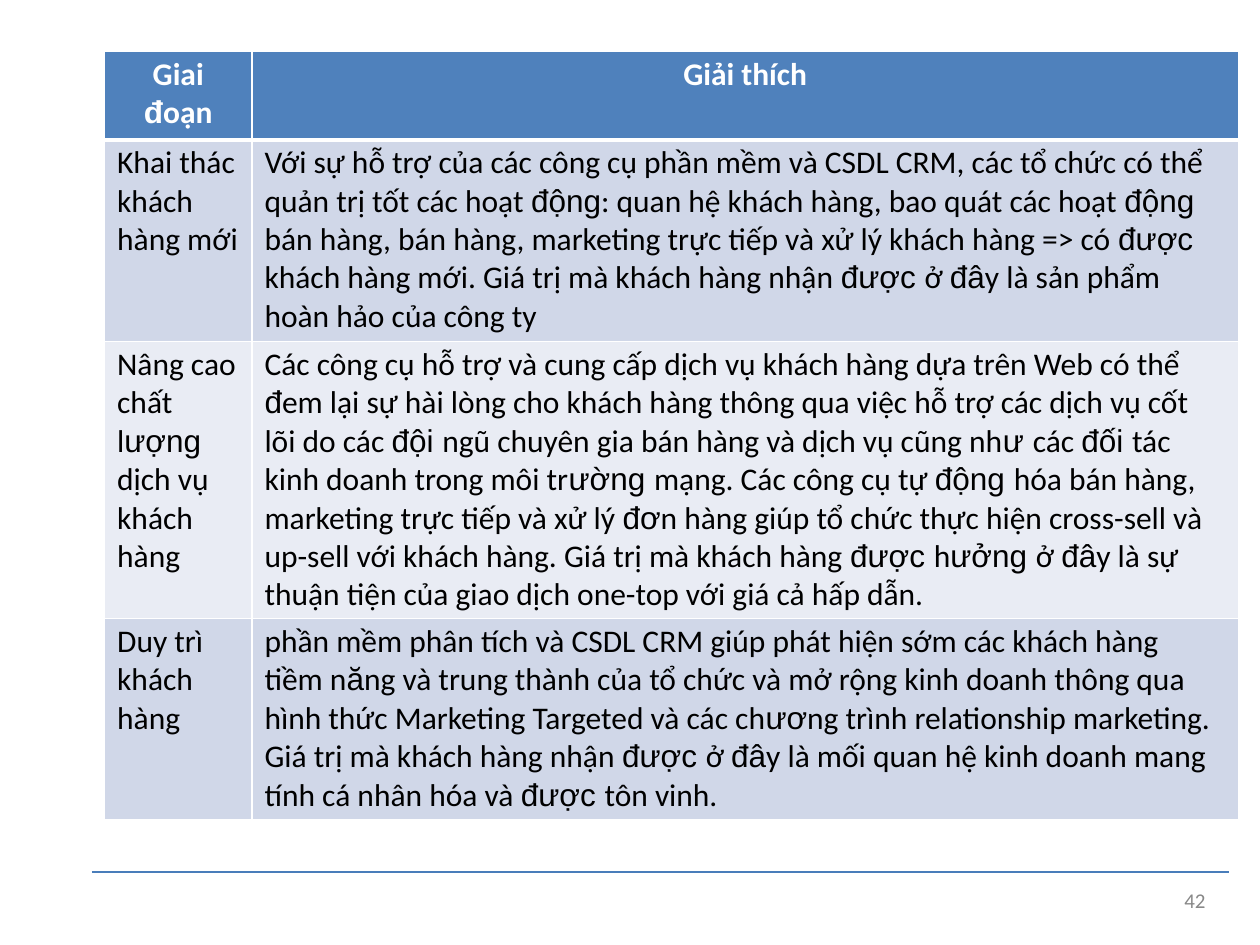
from lxml import etree
from pptx import Presentation
from pptx.dml.color import RGBColor
from pptx.enum.shapes import MSO_CONNECTOR
from pptx.enum.text import PP_ALIGN
from pptx.oxml.ns import qn
from pptx.util import Inches, Pt

STRAIGHT = MSO_CONNECTOR.STRAIGHT
LEFT, CENTER = PP_ALIGN.LEFT, PP_ALIGN.CENTER
WHITE = RGBColor(0xFF, 0xFF, 0xFF)
BLACK = RGBColor(0, 0, 0)
GRAY = RGBColor(0x88, 0x88, 0x88)
HEADER_BLUE = RGBColor(0x4F, 0x81, 0xBC)
RULE_BLUE = RGBColor(0x49, 0x7D, 0xBA)
BANDS = [RGBColor(0xD0, 0xD7, 0xE8), RGBColor(0xE9, 0xEC, 0xF4)]
FONTS = ["Calibri", "Arial"]
FONT_SWITCH = "|"

COLUMN_WIDTHS = [1.17, 7.83]
RIGHT_MARGINS = [0.05, 0.2]
ROW_HEIGHTS = [0.7, 1.6, 2.2, 1.6]
STAGES = [
    [["Giai", "|đ|oạn"], ["Giải thích"]],
    [
        ["Khai thác khách hàng mới"],
        ["Với sự hỗ trợ của các công cụ phần mềm và CSDL CRM, các tổ chức có thể "
         "quản trị tốt các hoạt |động|: quan hệ khách hàng, bao quát các hoạt |động |"
         "bán hàng, bán hàng, marketing trực tiếp và xử lý khách hàng => có |được |"
         "khách hàng mới. Giá trị mà khách hàng nhận |được |ở |đâ|y là sản phẩm "
         "hoàn hảo của công ty"],
    ],
    [
        ["Nâng cao chất l|ượng |dịch vụ khách hàng"],
        ["Các công cụ hỗ trợ và cung cấp dịch vụ khách hàng dựa trên Web có thể "
         "|đ|em lại sự hài lòng cho khách hàng thông qua việc hỗ trợ các dịch vụ cốt "
         "lõi do các |đội |ngũ chuyên gia bán hàng và dịch vụ cũng nh|ư |các |đối |tác "
         "kinh doanh trong môi tr|ường |mạng. Các công cụ tự |động |hóa bán hàng, "
         "marketing trực tiếp và xử lý |đơ|n hàng giúp tổ chức thực hiện cross-sell và "
         "up-sell với khách hàng. Giá trị mà khách hàng |được |h|ưởng |ở |đâ|y là sự",
         "thuận tiện của giao dịch one-top với giá cả hấp dẫn."],
    ],
    [
        ["Duy trì khách hàng"],
        ["phần mềm phân tích và CSDL CRM giúp phát hiện sớm các khách hàng",
         "tiềm n|ă|ng và trung thành của tổ chức và mở rộng kinh doanh thông qua "
         "hình thức Marketing Targeted và các ch|ươ|ng trình relationship marketing. "
         "Giá trị mà khách hàng nhận |được |ở |đâ|y là mối quan hệ kinh doanh mang "
         "tính cá nhân hóa và |được |tôn vinh."],
    ],
]


def write_text(frame, lines, size=18, color=BLACK, bold=False, align=LEFT, before=0):
    frame.word_wrap = True
    for number, line in enumerate(lines):
        para = frame.add_paragraph() if number else frame.paragraphs[0]
        para.alignment = align
        para.space_before = Pt(0 if number else before)
        for index, piece in enumerate(line.split(FONT_SWITCH)):
            if piece:
                span = para.add_run()
                span.text = piece
                span.font.name = FONTS[index % 2]
                span.font.size = Pt(size)
                span.font.bold = bold
                span.font.color.rgb = color


class StageSlide:
    def __init__(self, deck):
        self.page = deck.slides.add_slide(deck.slide_layouts[6])

    def rule(self, left, top, width):
        line = self.page.shapes.add_connector(
            STRAIGHT, Inches(left), Inches(top), Inches(left + width), Inches(top))
        line.line.color.rgb = RULE_BLUE
        line.line.width = Pt(0.78)
        etree.SubElement(line._element.spPr, qn("a:effectLst"))

    def borders(self, cell, top, bottom):
        properties = cell._tc.get_or_add_tcPr()
        for side, points in (("L", 1), ("R", 1), ("T", top), ("B", bottom)):
            edge = etree.SubElement(properties, qn(f"a:ln{side}"), w=str(Pt(points)))
            fill = etree.SubElement(edge, qn("a:solidFill"))
            etree.SubElement(fill, qn("a:srgbClr"), val=str(WHITE))

    def cell(self, cell, lines, row, column):
        header = row == 0
        self.borders(cell, top=3 if row == 1 else 1, bottom=3 if header else 1)
        cell.fill.solid()
        cell.fill.fore_color.rgb = HEADER_BLUE if header else BANDS[(row - 1) % 2]
        cell.margin_left = Inches(0 if header else 0.1)
        cell.margin_right = Inches(0 if header else RIGHT_MARGINS[column])
        cell.margin_top, cell.margin_bottom = Inches(0.03), 0
        write_text(cell.text_frame, lines, color=WHITE if header else BLACK,
                   bold=header, align=CENTER if header else LEFT, before=2.5)

    def table(self, left, top, rows):
        grid = self.page.shapes.add_table(
            len(rows), len(COLUMN_WIDTHS), Inches(left), Inches(top),
            Inches(sum(COLUMN_WIDTHS)), Inches(sum(ROW_HEIGHTS))).table
        grid.horz_banding = False
        for column, width in zip(grid.columns, COLUMN_WIDTHS):
            column.width = Inches(width)
        for row, (height, texts) in enumerate(zip(ROW_HEIGHTS, rows)):
            grid.rows[row].height = Inches(height)
            for column, lines in enumerate(texts):
                self.cell(grid.cell(row, column), lines, row, column)

    def page_number(self, left, top, number):
        box = self.page.shapes.add_textbox(
            Inches(left), Inches(top), Inches(0.27), Inches(0.19))
        frame = box.text_frame
        frame.margin_left = Inches(0.04)
        frame.margin_right = frame.margin_top = frame.margin_bottom = 0
        write_text(frame, [number], size=12, color=GRAY)
        frame.paragraphs[0].line_spacing = Pt(12.4)


def main():
    deck = Presentation()
    deck.slide_width, deck.slide_height = Inches(10), Inches(7.5)
    slide = StageSlide(deck)
    slide.rule(0.73, 6.92, 9.02)
    slide.table(0.83, 0.41, STAGES)
    slide.page_number(9.36, 7.07, "42")
    deck.save("out.pptx")


if __name__ == "__main__":
    main()
